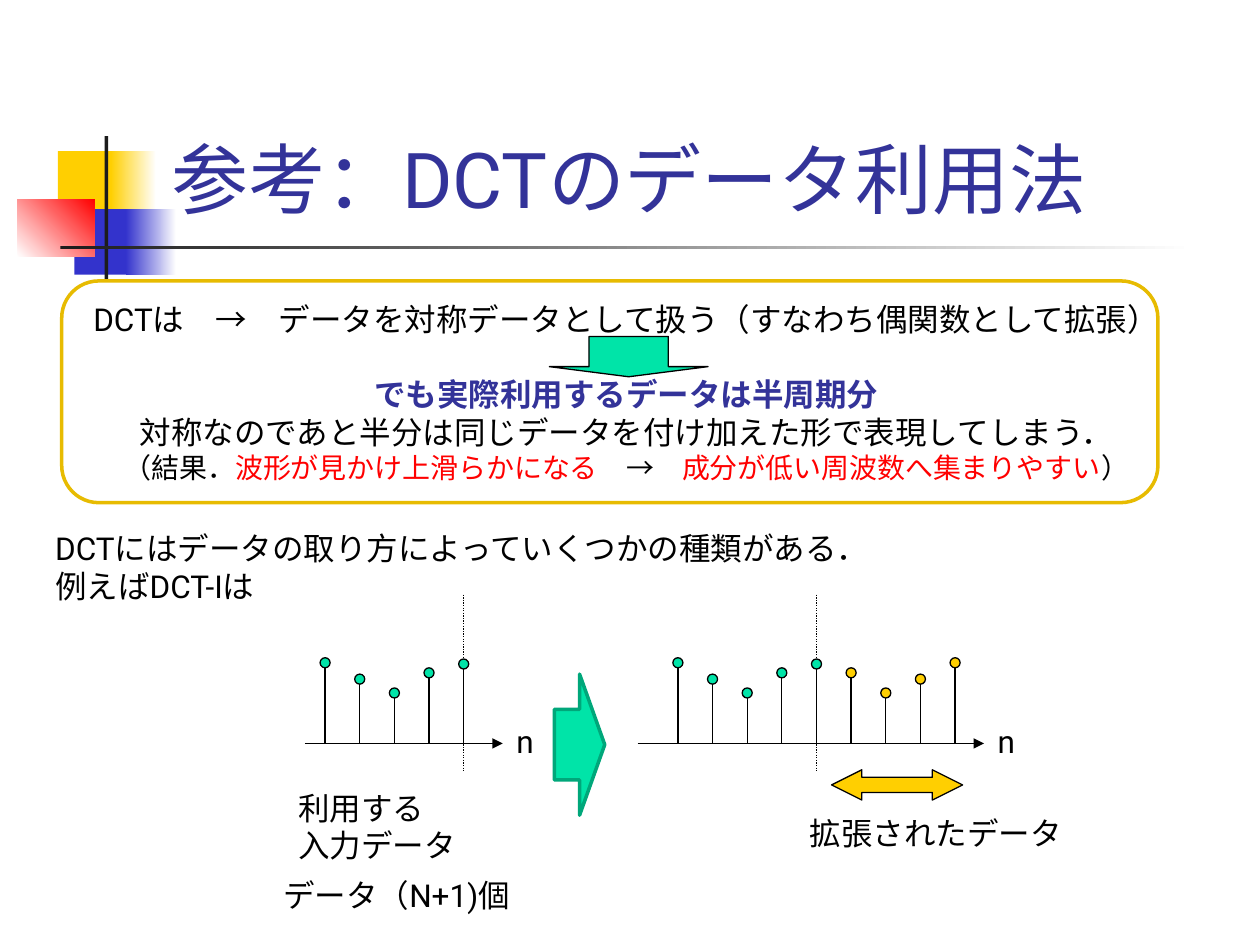
import pptx
import pptx.util
import pptx.dml.color
import pptx.enum.dml
import pptx.enum.shapes
import pptx.enum.text
import pptx.oxml
import pptx.oxml.ns

Inches = pptx.util.Inches
Pt = pptx.util.Pt
KIND = pptx.enum.shapes.MSO_SHAPE
ALIGN = pptx.enum.text.PP_ALIGN
FONT = "Roboto"
HEX = {
    "white": "FFFFFF", "black": "000000", "ink": "1C1C1C",
    "yellow": "FFCF01", "blue": "3333CC", "red": "FF0000",
    "navy": "333399", "gold": "E7BB01", "green": "00E4A8", "teal": "00A77A",
}
LEVELS = [0.64, 0.51, 0.4, 0.56, 0.63]  # marker heights above the axis
STEP = 1.1 / 4
DOT = 0.08


def color(name):
    return pptx.dml.color.RGBColor.from_string(HEX[name])


def add_form(slide, kind, box, fill, line=None, width=0.75, adj=()):
    form = slide.shapes.add_shape(kind, *map(Inches, box))
    form.shadow.inherit = False
    for i, value in enumerate(adj):
        form.adjustments[i] = value
    form.fill.solid()
    form.fill.fore_color.rgb = color(fill)
    if line:
        form.line.color.rgb = color(line)
        form.line.width = Pt(width)
    else:
        form.line.fill.background()
    return form


def add_fade(slide, box, start, end, angle=0):
    form = add_form(slide, KIND.RECTANGLE, box, start)
    form.fill.gradient()
    form.fill.gradient_angle = angle
    for stop, name in zip(form.fill.gradient_stops, (start, end)):
        stop.color.rgb = color(name)


def add_line(slide, x1, y1, x2, y2, dotted=False, arrow=False):
    line = slide.shapes.add_connector(
        pptx.enum.shapes.MSO_CONNECTOR.STRAIGHT, *map(Inches, (x1, y1, x2, y2)))
    line.line.color.rgb = color("black")
    line.line.width = Pt(0.75)
    if dotted:
        line.line.dash_style = pptx.enum.dml.MSO_LINE.ROUND_DOT
    props = line._element.spPr
    if arrow:
        tail = pptx.oxml.parse_xml(
            f'<a:tailEnd {pptx.oxml.ns.nsdecls("a")} type="triangle"/>')
        line.line._get_or_add_ln().append(tail)
    props.append(pptx.oxml.parse_xml(f'<a:effectLst {pptx.oxml.ns.nsdecls("a")}/>'))


def add_text(slide, box, paras, size=18, align=ALIGN.LEFT, wrap=False):
    """Each paragraph is a list of (text, colour) runs."""
    frame = slide.shapes.add_textbox(*map(Inches, box)).text_frame
    frame.word_wrap = wrap
    for i, runs in enumerate(paras):
        para = frame.add_paragraph() if i else frame.paragraphs[0]
        para.alignment = align
        for text, name in runs:
            run = para.add_run()
            run.text = text
            run.font.name = FONT
            run.font.size = Pt(size)
            run.font.color.rgb = color(name)
    return frame


def add_plain(slide, box, *lines, wrap=False):
    add_text(slide, box, [[(line, "black")] for line in lines], wrap=wrap)


def draw_header(slide, x, y):
    # Coloured squares, upright bar and rule
    add_form(slide, KIND.RECTANGLE, (x + 0.32, y + 0.12, 0.48, 0.52), "yellow")
    add_fade(slide, (x + 0.74, y + 0.12, 0.36, 0.52), "yellow", "white")
    add_form(slide, KIND.RECTANGLE, (x + 0.45, y + 0.58, 0.46, 0.52), "blue")
    add_fade(slide, (x + 0.86, y + 0.58, 0.4, 0.52), "blue", "white")
    add_fade(slide, (x, y + 0.5, 0.61, 0.46), "white", "red", 45)
    add_form(slide, KIND.RECTANGLE, (x + 0.69, y, 0.03, 1.15), "ink")
    add_fade(slide, (x + 0.34, y + 0.87, 9, 0.03), "ink", "white")
    # Title
    title = add_text(slide, (x + 1.12, y - 0.85, 8.52, 1.6),
                     [[("参考：DCTのデータ利用法", "navy")]], 44, wrap=True)
    title.vertical_anchor = pptx.enum.text.MSO_ANCHOR.BOTTOM


def draw_panel(slide, x, y):
    add_form(slide, KIND.ROUNDED_RECTANGLE, (x, y, 8.7, 1.76),
             "white", "gold", 2, [0.167])
    frame = add_text(slide, (x + 0.06, y + 0.1, 8.84, 1.57), [
        [("DCTは　→　データを対称データとして扱う（すなわち偶関数として拡張）", "black")],
        [("でも実際利用するデータは半周期分", "navy")],
        [("対称なのであと半分は同じデータを付け加えた形で表現してしまう．", "black")],
        [("（結果．", "black"), ("波形が見かけ上滑らかになる", "red"),
         ("　→　", "black"), ("成分が低い周波数へ集まりやすい", "red"),
         ("）", "black")],
    ], align=ALIGN.CENTER, wrap=True)
    frame.paragraphs[1].space_before = Pt(21.5)  # room for the arrow
    frame.paragraphs[1].runs[0].font.bold = True
    for run in frame.paragraphs[3].runs:
        run.font.size = Pt(16)
    add_form(slide, KIND.DOWN_ARROW, (x + 3.87, y + 0.44, 1.26, 0.32),
             "green", "black", adj=[0.5, 0.25])


def draw_stems(slide, x, y, width, first, levels):
    """Axis starts at (x, y); the first stem is `first` along it."""
    add_line(slide, x, y, x + width, y, arrow=True)
    add_plain(slide, (x + width + 0.01, y - 0.22, 0.35, 0.4), "n")
    half = len(LEVELS) - 1
    middle = x + first + half * STEP
    add_line(slide, middle, y - 1.18, middle, y + 0.23, dotted=True)
    for i, level in enumerate(levels):
        stem = x + first + i * STEP
        add_line(slide, stem, y - level + DOT / 2, stem, y)
        add_form(slide, KIND.OVAL,
                 (stem - DOT / 2, y - level - DOT / 2, DOT, DOT),
                 "green" if i <= half else "yellow", "black")


def draw_example(slide, x, y):
    add_plain(slide, (x, y, 6.74, 0.7),
              "DCTにはデータの取り方によっていくつかの種類がある．", "例えばDCT-Iは")
    # Input samples
    draw_stems(slide, x + 2.08, y + 1.75, 1.57, 0.16, LEVELS)
    add_plain(slide, (x + 1.93, y + 2.06, 1.45, 0.7), "利用する", "入力データ")
    add_plain(slide, (x + 1.81, y + 2.75, 2.12, 0.4), "データ（N+1)個")
    # Samples with their mirrored half
    add_form(slide, KIND.RIGHT_ARROW, (x + 4.06, y + 1.2, 0.4, 1.12),
             "green", "teal", 2, [0.5, 0.5])
    draw_stems(slide, x + 4.72, y + 1.75, 2.75, 0.32, LEVELS + LEVELS[-2::-1])
    add_form(slide, KIND.LEFT_RIGHT_ARROW, (x + 6.26, y + 1.96, 1.04, 0.24),
             "yellow", "black", adj=[0.5, 1])
    add_plain(slide, (x + 5.99, y + 2.26, 2.2, 0.4), "拡張されたデータ", wrap=True)


def main():
    deck = pptx.Presentation()
    deck.slide_width, deck.slide_height = Inches(10), Inches(7.5)
    slide = deck.slides.add_slide(deck.slide_layouts[6])
    draw_header(slide, 0.14, 1.08)
    draw_panel(slide, 0.49, 2.23)
    draw_example(slide, 0.34, 4.15)
    deck.save("out.pptx")


if __name__ == "__main__":
    main()
